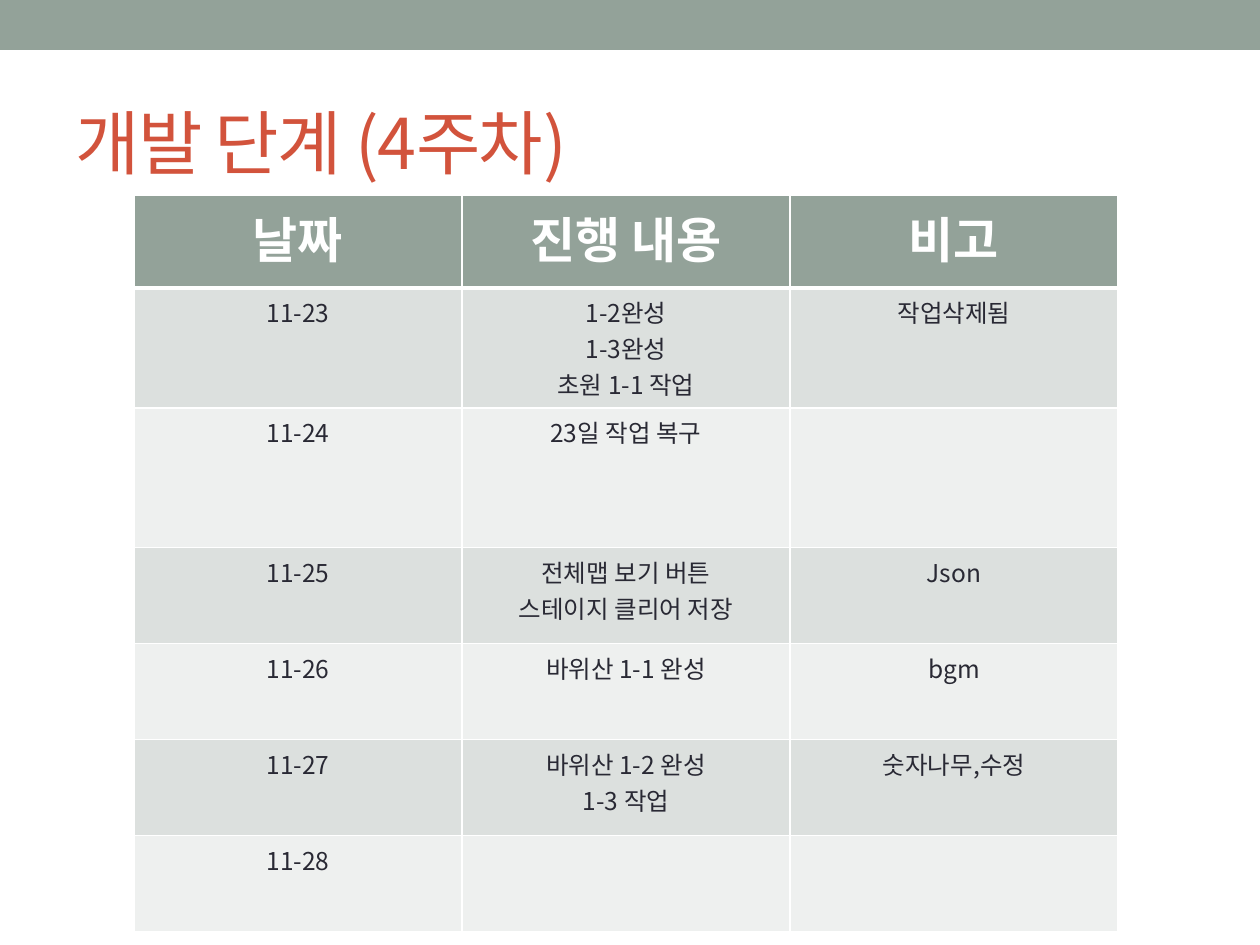
"""Build the week-four development schedule slide."""
from lxml import etree
from pptx import Presentation, util as u
from pptx.dml.color import RGBColor
from pptx.enum import shapes, text
from pptx.oxml.ns import qn

FONT = "Noto Sans CJK KR"
SAGE, RED, INK, WHITE = "93A299", "D2533C", "292934", "FFFFFF"
BANDS = ("DCE0DE", "EEF0EF")
TITLE = "개발 단계 (4주차)"
HEADER = ("날짜", "진행 내용", "비고")
SCHEDULE = [
    ("11-23", "1-2완성\n1-3완성\n초원 1-1 작업", "작업삭제됨"),
    ("11-24", "23일 작업 복구", ""),
    ("11-25", "전체맵 보기 버튼\n스테이지 클리어 저장", "Json"),
    ("11-26", "바위산 1-1 완성", "bgm"),
    ("11-27", "바위산 1-2 완성\n1-3 작업", "숫자나무,수정"),
    ("11-28", "", ""),
]
ROW_HEIGHTS = (93, 98, 140, 96, 96, 96, 96)
COLUMN_WIDTH = 328
TABLE_LEFT, TABLE_TOP = 134, 195


def px(pixels):
    return u.Emu(round(pixels * 914400 / 126))


def color(value):
    return RGBColor.from_string(value)


def style(paragraph, size, ink, bold=False, align=text.PP_ALIGN.CENTER):
    paragraph.alignment = align
    for span in paragraph.runs:
        font = span.font
        font.name, font.size, font.bold = FONT, u.Pt(size), bold
        font.color.rgb = color(ink)
        etree.SubElement(font._element, qn("a:ea"), typeface=FONT)


def set_borders(cell, bottom):
    properties = cell._tc.get_or_add_tcPr()
    for index, (side, width) in enumerate((("L", 1), ("R", 1), ("T", 1), ("B", bottom))):
        line = etree.Element(qn(f"a:ln{side}"), w=str(u.Pt(width)))
        fill = etree.SubElement(line, qn("a:solidFill"))
        etree.SubElement(fill, qn("a:srgbClr"), val=WHITE)
        properties.insert(index, line)


deck = Presentation()
deck.slide_width, deck.slide_height = px(1260), px(945)
page = deck.slides.add_slide(deck.slide_layouts[5])

bar = page.shapes.add_shape(shapes.MSO_SHAPE.RECTANGLE, 0, 0, px(1260), px(50))
bar.shadow.inherit = False
bar.fill.solid()
bar.fill.fore_color.rgb = color(SAGE)
bar.line.fill.background()

title = page.shapes.title
title.left, title.top, title.width, title.height = map(px, (63, 73, 1134, 136))
frame = title.text_frame
frame.text = TITLE
frame.auto_size = text.MSO_AUTO_SIZE.NONE
frame.vertical_anchor = text.MSO_ANCHOR.MIDDLE
style(frame.paragraphs[0], 40, RED, align=text.PP_ALIGN.LEFT)
frame.paragraphs[0].runs[0].font._element.set("spc", "-100")

rows = [HEADER] + SCHEDULE
table = page.shapes.add_table(
    len(rows), len(HEADER), px(TABLE_LEFT), px(TABLE_TOP),
    px(COLUMN_WIDTH * len(HEADER)), px(sum(ROW_HEIGHTS))).table
for column in table.columns:
    column.width = px(COLUMN_WIDTH)
for index, (values, height) in enumerate(zip(rows, ROW_HEIGHTS)):
    table.rows[index].height = px(height)
    heading = index == 0
    for column, value in enumerate(values):
        cell = table.cell(index, column)
        cell.text_frame.text = value
        cell.fill.solid()
        cell.fill.fore_color.rgb = color(SAGE if heading else BANDS[(index - 1) % 2])
        set_borders(cell, 3 if heading else 1)
        for para in cell.text_frame.paragraphs:
            style(para, 28 if heading else 14, WHITE if heading else INK, heading)

deck.save("out.pptx")
